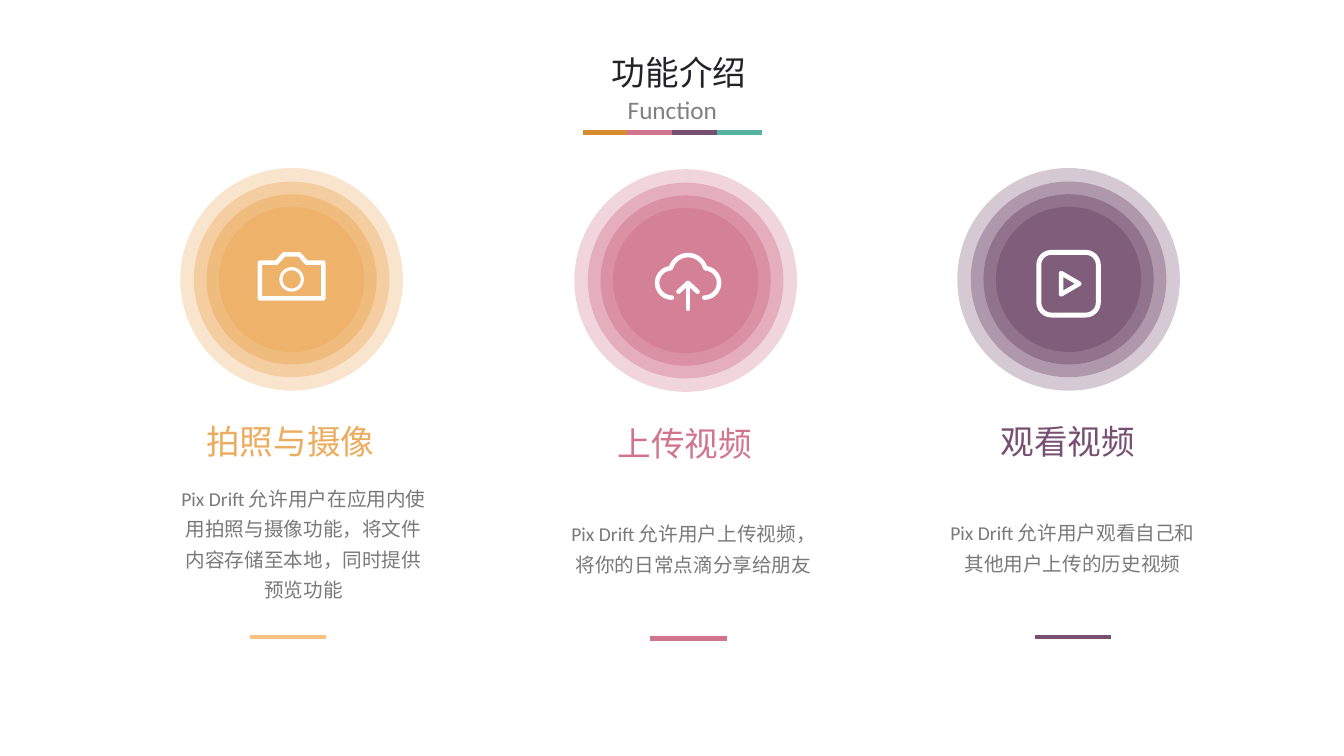
"""Build the feature overview slide with three ringed icons."""
import math

import pptx
import pptx.dml.color
import pptx.enum.shapes
import pptx.enum.text
import pptx.oxml.ns
import pptx.oxml.xmlchemy
import pptx.util
from lxml import etree

Cm, Pt = pptx.util.Cm, pptx.util.Pt
SHAPE = pptx.enum.shapes.MSO_SHAPE
CENTER = pptx.enum.text.PP_ALIGN.CENTER
COLORS = {
    "title": "232226", "subtitle": "808080", "body": "797979", "white": "FFFFFF",
    "orange": "EDAC5D", "light_orange": "F7C17F", "dark_orange": "D58C2E",
    "pink": "D1758E", "purple": "774F71", "green": "55B2A0",
}
CJK, LATIN = "Noto Sans CJK SC", "Calibri"
RINGS = [(5.61, 30), (4.93, 40), (4.29, 50), (3.66, 60)]


def rgb(name):
    return pptx.dml.color.RGBColor.from_string(COLORS[name])


def sub(parent, tag, **attrs):
    return etree.SubElement(parent, pptx.oxml.ns.qn(tag), **attrs)


def format_text(sp, text, size, font, color, align=None, spacing=None):
    tf = sp.text_frame
    tf.word_wrap = True
    tf.auto_size = pptx.enum.text.MSO_AUTO_SIZE.NONE
    tf.text = text
    p = tf.paragraphs[0]
    p.alignment = align
    p.line_spacing = spacing
    r = p.runs[0]
    r.font.size = Pt(size)
    r.font.name = font
    r.font.color.rgb = rgb(color)
    if font == CJK:
        sub(r.font._element, "a:ea", typeface=font)


def add_text(s, left, top, width, height, *style, **options):
    sp = s.shapes.add_textbox(Cm(left), Cm(top), Cm(width), Cm(height))
    format_text(sp, *style, **options)


def add_rule(shapes, left, top, width, color, weight):
    sp = shapes.add_connector(pptx.enum.shapes.MSO_CONNECTOR.STRAIGHT,
                              Cm(left), Cm(top), Cm(left + width), Cm(top))
    sp.line.color.rgb = rgb(color)
    sp.line.width = Pt(weight)
    sub(sp._element.spPr, "a:effectLst")


def add_rings(s, x, y, color):
    group = s.shapes.add_group_shape()
    for size, opacity in RINGS:
        sp = group.shapes.add_shape(SHAPE.OVAL, Cm(x - size / 2), Cm(y - size / 2),
                                    Cm(size), Cm(size))
        sp.shadow.inherit = False
        sp.fill.solid()
        sp.fill.fore_color.rgb = rgb(color)
        sp.line.fill.background()
        fill_color = sp._element.spPr.find(".//" + pptx.oxml.ns.qn("a:srgbClr"))
        sub(fill_color, "a:alpha", val=str(opacity * 1000))


def style_outline(sp, weight):
    sp.shadow.inherit = False
    sp.fill.background()
    sp.line.color.rgb = rgb("white")
    sp.line.width = Pt(weight)
    ln = sp.line._get_or_add_ln()
    ln.set("cap", "rnd")
    sub(ln, "a:round")


def add_outline(s, x, y, points, close=False, weight=3.25):
    emu = [(Cm(x + dx), Cm(y + dy)) for dx, dy in points]
    builder = s.shapes.build_freeform(*emu[0])
    builder.add_line_segments(emu[1:], close=close)
    style_outline(builder.convert_to_shape(), weight)


def add_frame(s, kind, x, y, width, height, weight):
    sp = s.shapes.add_shape(kind, Cm(x - width / 2), Cm(y - height / 2),
                            Cm(width), Cm(height))
    style_outline(sp, weight)
    return sp


def arc(x, y, radius, start, end):
    angles = [math.radians(start + (end - start) * i / 24) for i in range(25)]
    return [(x + radius * math.cos(a), y + radius * math.sin(a)) for a in angles]


def add_camera(s, x, y):
    body = [(-0.8, 0.48), (-0.8, -0.42), (-0.38, -0.42), (-0.19, -0.63),
            (0.19, -0.63), (0.38, -0.42), (0.8, -0.42), (0.8, 0.48)]
    add_outline(s, x, y, body, close=True)
    add_frame(s, SHAPE.OVAL, x, y, 0.54, 0.54, 2.25)


def add_upload(s, x, y):
    x += 0.06
    cloud = (arc(-0.41, 0.06, 0.37, 90, 262) + arc(0, -0.19, 0.45, 195, 345)
             + arc(0.41, 0.06, 0.37, -82, 90))
    add_outline(s, x, y, cloud)
    add_outline(s, x, y, [(0, 0.08), (0, 0.71)])
    add_outline(s, x, y, [(-0.24, 0.28), (0, 0.06), (0.24, 0.28)])


def add_play(s, x, y):
    y += 0.11
    sp = add_frame(s, SHAPE.ROUNDED_RECTANGLE, x, y, 1.5, 1.58, 3.5)
    sp.adjustments[0] = 0.21
    add_outline(s, x, y, [(-0.19, -0.27), (-0.19, 0.27), (0.27, 0)], close=True)


def add_header(s):
    title = s.shapes.title
    title.left, title.top, title.width, title.height = Cm(14.45), Cm(1.17), Cm(5.33), Cm(1.27)
    format_text(title, "功能介绍", 24, CJK, "title", CENTER)
    add_text(s, 14.53, 2.24, 4.83, 1.02, "Function", 18, LATIN, "subtitle", CENTER)
    group = s.shapes.add_group_shape()
    for i, color in enumerate(["dark_orange", "pink", "purple", "green"]):
        add_rule(group.shapes, 14.68 + 1.13 * i, 3.33, 1.13, color, 3.75)


def add_feature(s, x, y, draw_icon, color, label, label_left, text, text_box,
                rule_left, rule_color):
    left, top, height = text_box
    add_rings(s, x, y, color)
    draw_icon(s, x, y)
    add_text(s, label_left, y + 3.45, 6.68, 1.27, label, 24, CJK, color)
    add_text(s, left, top, 6.76, height, text, 14, LATIN, "body", CENTER, spacing=1.3)
    add_rule(s.shapes, rule_left, y + 9.02, 1.92, rule_color, 3)


def main():
    prs = pptx.Presentation()
    prs.slide_width, prs.slide_height = Cm(33.87), Cm(19.05)
    s = prs.slides.add_slide(prs.slide_layouts[5])
    add_header(s)
    add_feature(s, 7.35, 7.04, add_camera, "orange", "拍照与摄像", 4.95,
                "Pix Drift 允许用户在应用内使用拍照与摄像功能，将文件内容存储至本地，同时提供预览功能",
                (4.27, 11.96, 3.3), 6.3, "light_orange")
    add_feature(s, 17.28, 7.07, add_upload, "pink", "上传视频", 15.32,
                "Pix Drift 允许用户上传视频，将你的日常点滴分享给朋友",
                (14.1, 12.85, 1.75), 16.39, "pink")
    add_feature(s, 26.93, 7.04, add_play, "purple", "观看视频", 24.97,
                "Pix Drift 允许用户观看自己和其他用户上传的历史视频",
                (23.65, 12.83, 1.75), 26.09, "purple")
    prs.save("out.pptx")


if __name__ == "__main__":
    main()
